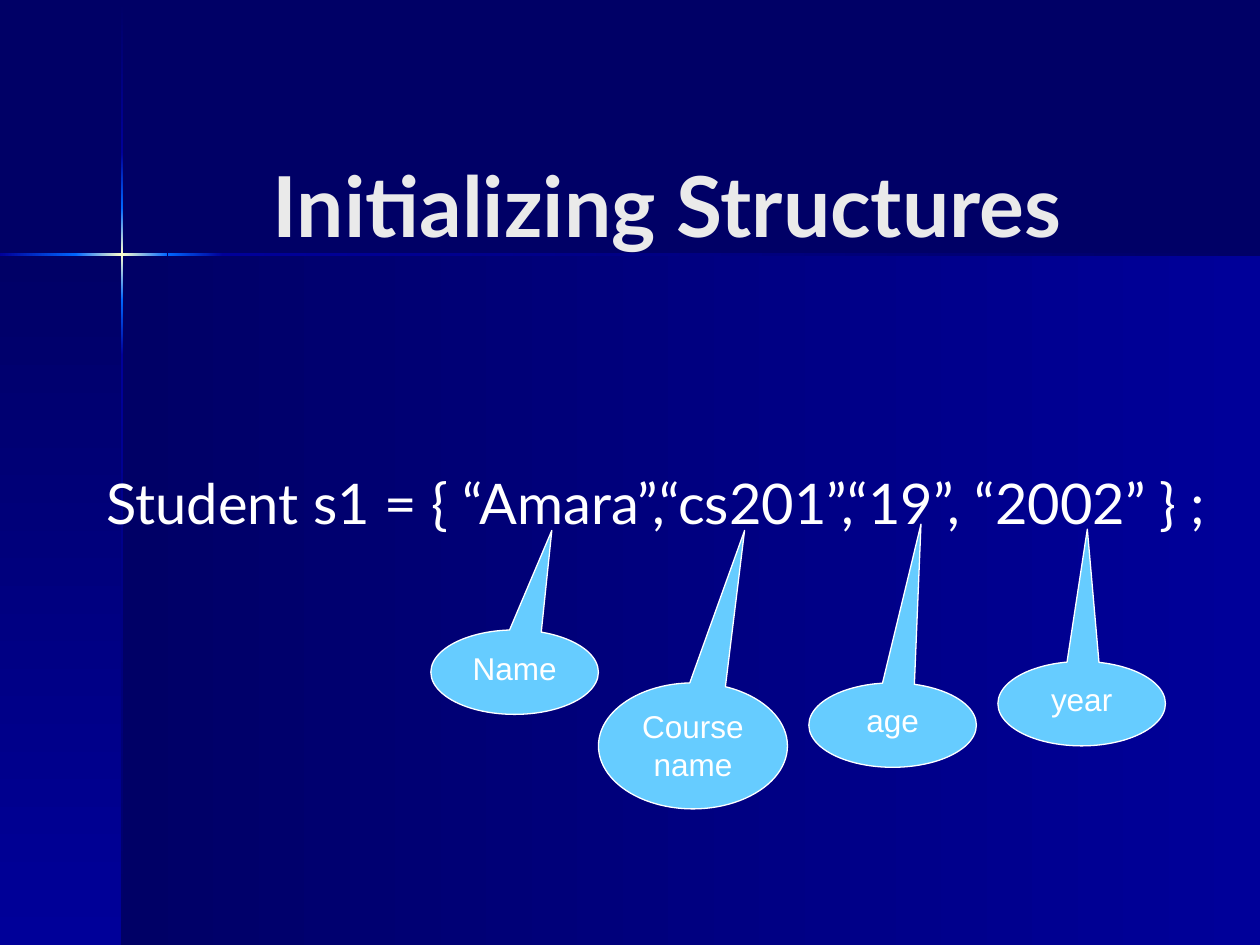
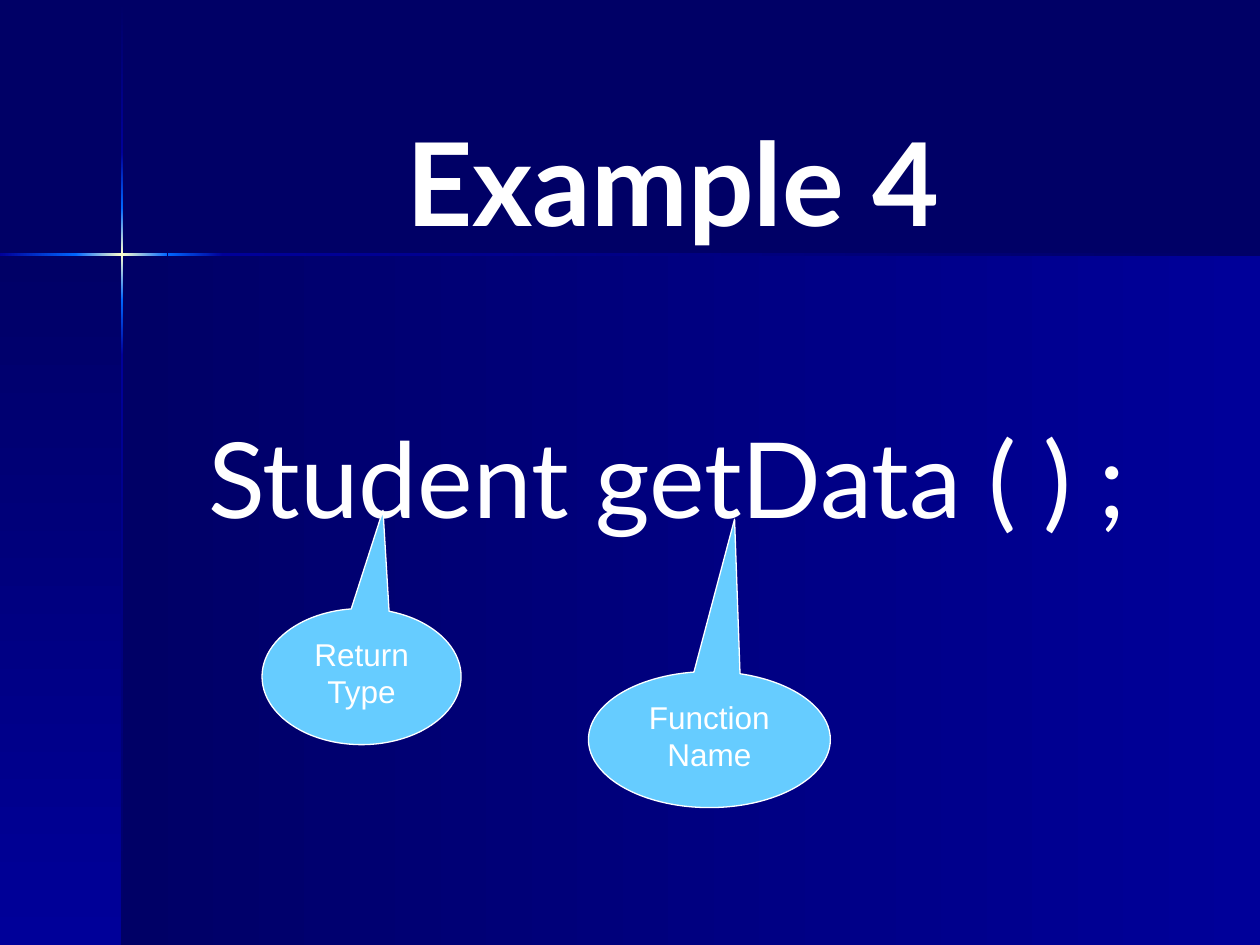
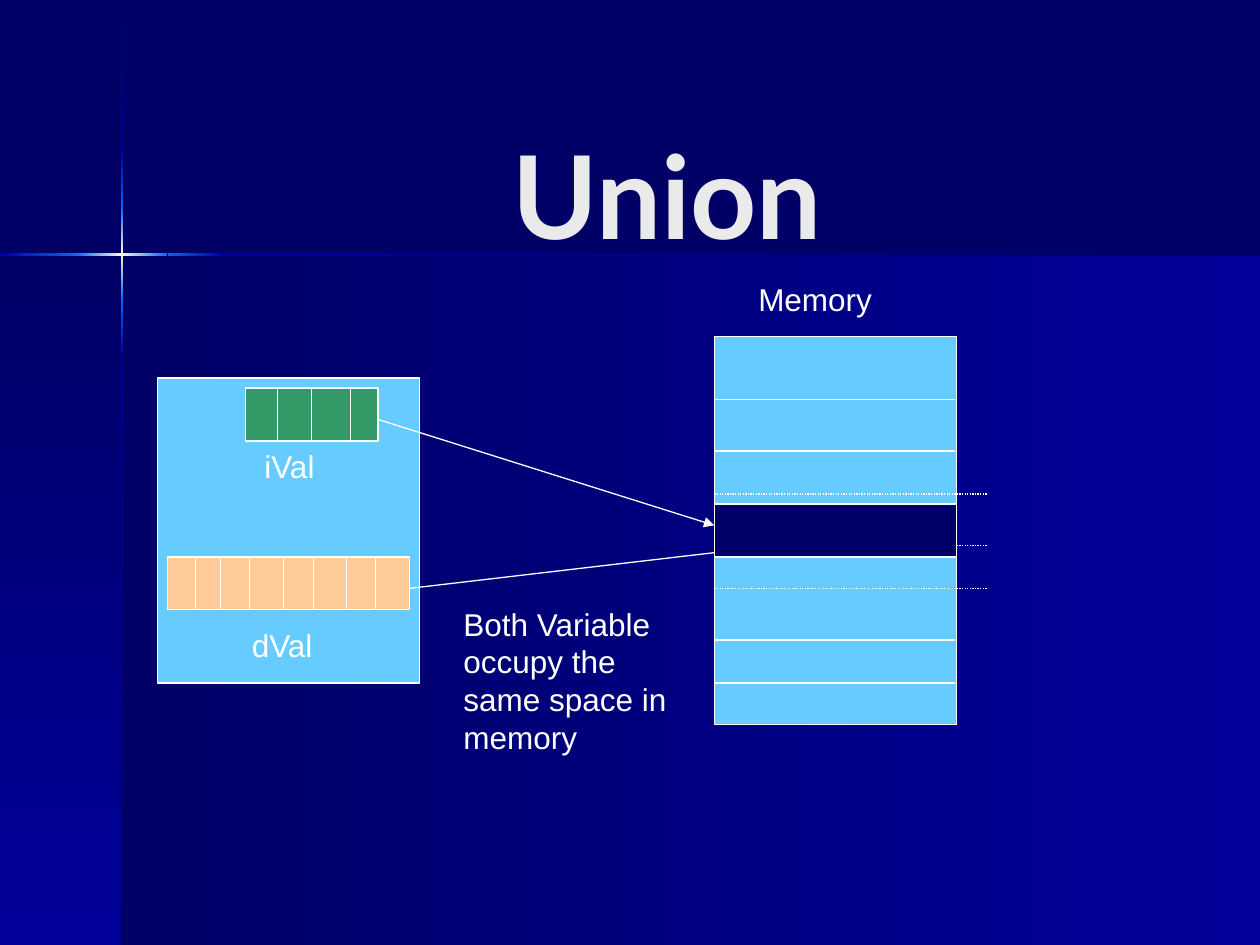
from lxml.etree import SubElement
from pptx import Presentation
from pptx.dml.color import RGBColor
from pptx.enum.dml import MSO_LINE
from pptx.enum.shapes import MSO_CONNECTOR, MSO_SHAPE
from pptx.enum.text import MSO_ANCHOR, MSO_AUTO_SIZE, PP_ALIGN
from pptx.oxml.ns import qn
from pptx.util import Inches, Pt

NAVY, BLUE, BRIGHT, GLOW = "000066", "000099", "0066FF", "FFFFCC"
WHITE, SILVER, SKY = "FFFFFF", "EAEAEA", "66CCFF"
GREEN, PEACH = "339966", "FFCC99"
HEADING_FONT, LABEL_FONT = "Lato", "Arial"
RIGHT, DOWN = 0, 90

# left, top, width, height, direction, gradient colours
BACKDROP = [
    (0.97, 2.02, 9.03, 5.48, RIGHT, [NAVY, BLUE]),
    (0, 2.02, 0.97, 5.48, DOWN, [NAVY, BLUE]),
    (0.96, 0.01, 0.02, 1.2, DOWN, [NAVY, BLUE]),
    (0.96, 2.82, 0.02, 4.68, DOWN, [BLUE, NAVY]),
    (1.77, 2.01, 8.23, 0.02, RIGHT, [BLUE, NAVY]),
    (0.96, 2.38, 0.02, 0.44, DOWN, [BRIGHT, BLUE]),
    (0.96, 1.21, 0.02, 0.44, DOWN, [BLUE, BRIGHT]),
    (0.96, 1.65, 0.02, 0.73, DOWN, [BRIGHT, GLOW, BRIGHT]),
    (0, 2.01, 0.61, 0.02, RIGHT, [BLUE, BRIGHT]),
    (1.33, 2.01, 0.44, 0.02, RIGHT, [BRIGHT, BLUE]),
    (0.6, 2.01, 0.73, 0.02, RIGHT, [BRIGHT, GLOW, BRIGHT]),
]


def rgb(color):
    return RGBColor.from_string(color)


def inches(*lengths):
    return [Inches(length) for length in lengths]


class LectureDeck:
    """Holds the presentation, its style and the slide being built."""

    def __init__(self):
        self.deck = Presentation()
        self.deck.slide_width, self.deck.slide_height = inches(10, 7.5)
        self.slide = None
        background = self.deck.slide_master.background.fill
        background.solid()
        background.fore_color.rgb = rgb(NAVY)

    def add_slide(self, title, place, size, color=SILVER):
        self.slide = self.deck.slides.add_slide(self.deck.slide_layouts[5])
        holder = self.slide.shapes.title
        holder.left, holder.top, holder.width, holder.height = inches(*place)
        self.set_text(holder, title, size, HEADING_FONT, color, True, PP_ALIGN.CENTER)
        holder.text_frame.vertical_anchor = MSO_ANCHOR.MIDDLE

    def set_text(self, shape, words, size, font, color=WHITE, bold=False,
                 align=PP_ALIGN.LEFT, wrap=True):
        frame = shape.text_frame
        frame.text = words
        frame.word_wrap = wrap
        frame.auto_size = MSO_AUTO_SIZE.NONE
        frame.vertical_anchor = MSO_ANCHOR.TOP
        para = frame.paragraphs[0]
        para.alignment = align
        for span in para.runs:
            span.font.name = font
            span.font.size = Pt(size)
            span.font.bold = bold
            span.font.color.rgb = rgb(color)

    def backdrop(self):
        """Draw the glowing cross and panels, then hand them to the master."""
        master_tree = self.deck.slide_master.shapes._spTree
        for position, (*place, angle, colors) in enumerate(BACKDROP, start=2):
            panel = self.slide.shapes.add_shape(MSO_SHAPE.RECTANGLE, *inches(*place))
            panel.shadow.inherit = False
            panel.line.fill.background()
            panel.fill.gradient()
            panel.fill.gradient_angle = (360 - angle) % 360
            stops = panel._element.spPr.find(".//" + qn("a:gsLst"))
            for stop in list(stops):
                stops.remove(stop)
            for step, color in enumerate(colors):
                offset = 100000 * step // (len(colors) - 1)
                stop = SubElement(stops, qn("a:gs"), pos=str(offset))
                SubElement(stop, qn("a:srgbClr"), val=color)
            master_tree.insert(position, panel._element)

    def code_line(self, words, place, size):
        box = self.slide.shapes.add_textbox(*inches(*place))
        self.set_text(box, words, size, HEADING_FONT, align=PP_ALIGN.CENTER)

    def label(self, words, place, wrap=True):
        box = self.slide.shapes.add_textbox(*inches(*place))
        self.set_text(box, words, 18, LABEL_FONT, wrap=wrap)

    def box(self, place, fill=SKY, kind=MSO_SHAPE.RECTANGLE, shapes=None):
        shapes = shapes or self.slide.shapes
        box = shapes.add_shape(kind, *inches(*place))
        box.shadow.inherit = False
        box.fill.solid()
        box.fill.fore_color.rgb = rgb(fill)
        box.line.color.rgb = rgb(WHITE)
        box.line.width = Pt(0.75)
        return box

    def callout(self, words, place, tip):
        """Add an oval callout whose pointer ends at the point tip."""
        left, top, width, height = place
        oval = self.box(place, kind=MSO_SHAPE.OVAL_CALLOUT)
        oval.adjustments[0] = (tip[0] - left) / width - 0.5
        oval.adjustments[1] = (tip[1] - top) / height - 0.5
        self.set_text(oval, words, 18, LABEL_FONT, align=PP_ALIGN.CENTER)

    def line(self, start, end, dotted=False, arrow=False, shapes=None):
        shapes = shapes or self.slide.shapes
        line = shapes.add_connector(MSO_CONNECTOR.STRAIGHT, *inches(*start, *end))
        line.line.color.rgb = rgb(WHITE)
        line.line.width = Pt(0.75)
        if dotted:
            line.line.dash_style = MSO_LINE.ROUND_DOT
        if arrow:
            outline = line._element.spPr.find(qn("a:ln"))
            SubElement(outline, qn("a:tailEnd"), type="triangle")
        SubElement(line._element.spPr, qn("a:effectLst"))

    def byte_row(self, place, fill, dividers):
        """Add a variable as a grouped bar, cut into bytes at the dividers."""
        top, height = place[1], place[3]
        group = self.slide.shapes.add_group_shape()
        # An empty shape collection is false, so the bar goes in by name.
        shapes = group.shapes
        self.box(place, fill, shapes=shapes)
        for x in dividers:
            self.line((x, top), (x, top + height), shapes=shapes)


def initializing_slide(lecture):
    lecture.add_slide("Initializing Structures", (1.17, 0.83, 8.25, 1.57), 48)
    lecture.backdrop()
    lecture.code_line("Student s1 = { “Amara”,“cs201”,“19”, “2002” } ;",
                      (0.25, 3.67, 9.92, 1.58), 32)
    lecture.callout("Name", (3.42, 5, 1.33, 0.67), (4.38, 4.21))
    lecture.callout("Course name", (4.75, 5.42, 1.5, 1), (5.91, 4.21))
    lecture.callout("age", (6.42, 5.42, 1.33, 0.67), (7.31, 4.16))
    lecture.callout("year", (7.92, 5.25, 1.33, 0.67), (8.63, 4.2))


def example_slide(lecture):
    lecture.add_slide("Example 4", (2.71, 0.83, 5.26, 1.2), 66, WHITE)
    lecture.code_line("Student getData ( ) ;", (1.17, 3.23, 8.25, 1.97), 60)
    lecture.callout("Return Type", (2.08, 4.83, 1.58, 1.08), (3.04, 4.05))
    lecture.callout("Function Name", (4.67, 5.33, 1.92, 1.08), (5.83, 4.12))


def union_slide(lecture):
    lecture.add_slide("Union", (1.17, 0.75, 8.25, 1.57), 66)
    memory_left, memory_right, mark_right = 5.67, 7.58, 7.83
    lecture.box((1.25, 3, 2.08, 2.42))
    lecture.box((memory_left, 2.67, 1.92, 3.08))
    lecture.line((2.75, 3.25), (memory_left, 4.17), arrow=True)
    lecture.line((3.25, 4.67), (6.83, 4.25), arrow=True)
    lecture.label("iVal", (2, 3.5, 0.67, 0.4))
    lecture.label("dVal", (1.9, 4.92, 1.27, 0.4))
    for y in (3.92, 4.33, 4.67):
        lecture.line((memory_left, y), (mark_right, y), dotted=True)
    lecture.label("Both Variable occupy the same space in memory",
                  (3.58, 4.75, 1.92, 1.3))
    lecture.label("Memory", (5.92, 2.17, 1.1, 0.4), wrap=False)
    lecture.box((memory_left, 4, 1.92, 0.42), NAVY, MSO_SHAPE.FLOWCHART_PROCESS)
    for y in (3.17, 3.58, 5.08, 5.42):
        lecture.line((memory_left, y), (memory_right, y))
    lecture.byte_row((1.33, 4.42, 1.92, 0.42), PEACH,
                     (1.55, 1.75, 1.98, 2.25, 2.49, 2.75, 2.98))
    lecture.byte_row((1.95, 3.08, 1.05, 0.42), GREEN, (2.2, 2.47, 2.78))


def main():
    lecture = LectureDeck()
    initializing_slide(lecture)
    example_slide(lecture)
    union_slide(lecture)
    lecture.deck.save("out.pptx")


if __name__ == "__main__":
    main()
